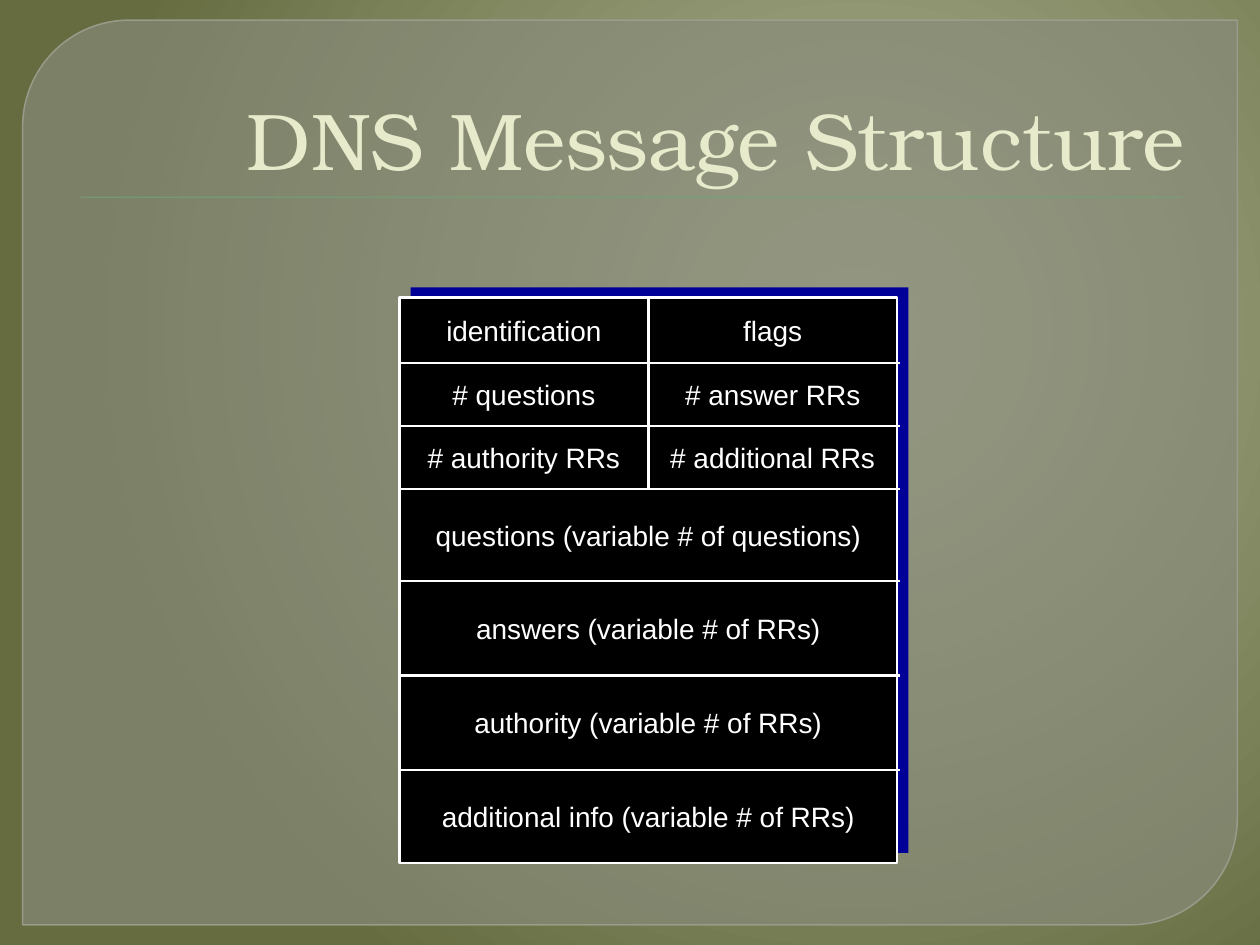
from itertools import accumulate

from pptx import Presentation
from pptx.dml.color import RGBColor
from pptx.enum.shapes import MSO_CONNECTOR, MSO_SHAPE
from pptx.enum.text import MSO_ANCHOR, PP_ALIGN
from pptx.oxml import parse_xml
from pptx.oxml.ns import nsdecls, qn
from pptx.util import Inches, Pt
from lxml.etree import SubElement

WIDTH, HEIGHT = 10, 7.5
COLORS = {
    "glow": "A9AE8D", "mid": "9FA583", "edge": "666C40",
    "panel": "888B7B", "panel_line": "9DA090", "rule": "72A376",
    "title": "E7EACB", "back": "000099", "cell": "000000", "ink": "FFFFFF",
}
MESSAGE_ROWS = [
    (0.52, ["identification", "flags"]),
    (0.50, ["# questions", "# answer RRs"]),
    (0.50, ["# authority RRs", "# additional RRs"]),
    (0.73, ["questions (variable # of questions)"]),
    (0.75, ["answers (variable # of RRs)"]),
    (0.75, ["authority (variable # of RRs)"]),
    (0.74, ["additional info (variable # of RRs)"]),
]


def color(name):
    return RGBColor.from_string(COLORS[name])


def set_alpha(fill_parent, percent):
    tint = fill_parent.find(qn("a:solidFill"))[0]
    SubElement(tint, qn("a:alpha")).set("val", str(percent * 1000))


def add_block(shapes, kind, box, fill, line=None, line_width=1.5):
    block = shapes.add_shape(kind, *map(Inches, box))
    block.shadow.inherit = False
    block.fill.solid()
    block.fill.fore_color.rgb = color(fill)
    if line:
        block.line.color.rgb = color(line)
        block.line.width = Pt(line_width)
    else:
        block.line.fill.background()
    return block


def add_text(shapes, box, text, font, size, ink, align, anchor):
    label = shapes.add_textbox(*map(Inches, box))
    frame = label.text_frame
    frame.word_wrap = True
    frame.vertical_anchor = anchor
    frame.text = text
    para = frame.paragraphs[0]
    para.alignment = align
    span = para.runs[0]
    span.font.name = font
    span.font.size = Pt(size)
    span.font.color.rgb = color(ink)


def add_line(shapes, start, end):
    line = shapes.add_connector(MSO_CONNECTOR.STRAIGHT, *map(Inches, start + end))
    line.line.color.rgb = color("ink")
    line.line.width = Pt(1.5)
    SubElement(line._element.spPr, qn("a:effectLst"))


def add_backdrop(page):
    stops = "".join(
        f'<a:gs pos="{place * 1000}"><a:srgbClr val="{COLORS[name]}"/></a:gs>'
        for place, name in [(0, "glow"), (20, "mid"), (100, "edge")]
    )
    page._element.cSld.insert(0, parse_xml(
        f'<p:bg {nsdecls("p", "a")}><p:bgPr><a:gradFill rotWithShape="1">'
        f'<a:gsLst>{stops}</a:gsLst><a:path path="circle">'
        '<a:fillToRect l="68000" t="35000" r="32000" b="65000"/></a:path>'
        '</a:gradFill><a:effectLst/></p:bgPr></p:bg>'
    ))
    panel = add_block(page.shapes, MSO_SHAPE.ROUND_2_DIAG_RECTANGLE,
                      (0.18, 0.16, 9.64, 7.18), "panel", "panel_line", 0.87)
    panel.adjustments[0] = 0.118
    panel.adjustments[1] = 0
    properties = panel._element.spPr
    set_alpha(properties, 65)
    set_alpha(properties.find(qn("a:ln")), 88)


def add_title(page, box, text):
    left, top, width, height = box
    add_block(page.shapes, MSO_SHAPE.RECTANGLE,
              (left + 0.14, top + height + 0.03, width - 0.25, 0.01), "rule")
    add_text(page.shapes, box, text, "TeX Gyre Bonum", 46, "title",
             PP_ALIGN.RIGHT, MSO_ANCHOR.BOTTOM)


def add_message(page, box, rows):
    left, top, width, height = box
    shapes = page.shapes.add_group_shape().shapes
    add_block(shapes, MSO_SHAPE.RECTANGLE,
              (left + 0.09, top - 0.08, width, height), "back")
    add_block(shapes, MSO_SHAPE.RECTANGLE, box, "cell", "ink")
    scale = height / sum(share for share, _ in rows)
    edges = [top + scale * edge
             for edge in accumulate((share for share, _ in rows), initial=0)]
    for edge in edges[1:-1]:
        add_line(shapes, (left - 0.01, edge), (left + width + 0.02, edge))
    split_rows = sum(len(labels) == 2 for _, labels in rows)
    middle = left + width / 2
    add_line(shapes, (middle, top), (middle, edges[split_rows]))
    for (_, labels), upper, lower in zip(rows, edges, edges[1:]):
        cell_width = width / len(labels)
        for column, text in enumerate(labels):
            cell = (left + column * cell_width, upper, cell_width, lower - upper)
            add_text(shapes, cell, text, "Arial", 16, "ink",
                     PP_ALIGN.CENTER, MSO_ANCHOR.MIDDLE)


deck = Presentation()
deck.slide_width, deck.slide_height = Inches(WIDTH), Inches(HEIGHT)
page = deck.slides.add_slide(deck.slide_layouts[6])
add_backdrop(page)
add_title(page, (0.5, 0.28, 9, 1.25), "DNS Message Structure")
add_message(page, (3.17, 2.36, 3.95, 4.49), MESSAGE_ROWS)
deck.save("out.pptx")
